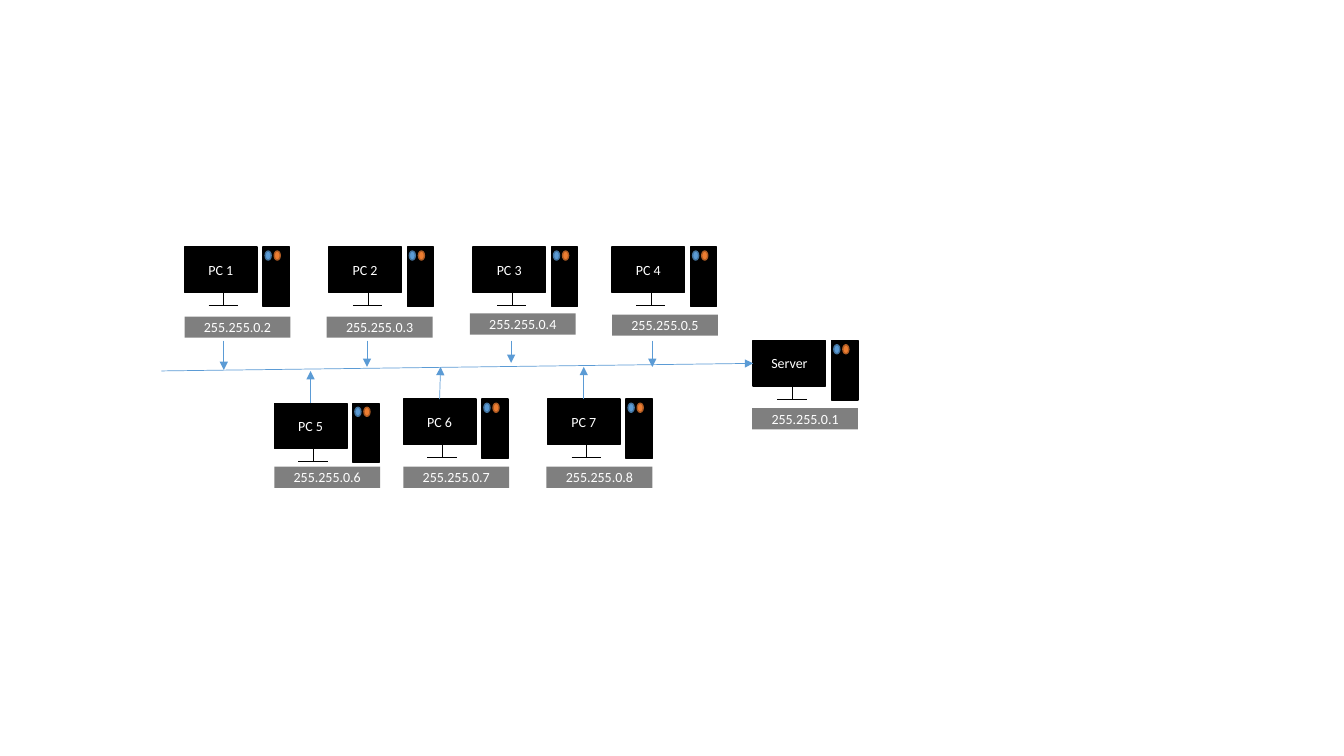
from dataclasses import dataclass
from typing import Optional

from lxml import etree
from pptx import Presentation
from pptx.dml.color import RGBColor
from pptx.enum.shapes import MSO_CONNECTOR, MSO_SHAPE
from pptx.enum.text import MSO_ANCHOR, PP_ALIGN
from pptx.oxml.ns import qn
from pptx.util import Pt

RECTANGLE = MSO_SHAPE.RECTANGLE
LIGHT = MSO_SHAPE.FLOWCHART_CONNECTOR
STRAIGHT = MSO_CONNECTOR.STRAIGHT
MIDDLE = MSO_ANCHOR.MIDDLE
CENTER = PP_ALIGN.CENTER
TOP_SIDE, LEFT_SIDE = 0, 1

EMU_PER_PX = 9144
BLACK, WHITE = "000000", "FFFFFF"
BLUE, DARK_BLUE = "5B9BD5", "43739E"
ORANGE, DARK_ORANGE = "ED7D31", "AF5C24"


@dataclass(frozen=True)
class Computer:
    name: str
    left: int
    top: int
    address: str
    label_left: int
    label_top: int


@dataclass(frozen=True)
class Arrow:
    start: tuple[int, int]
    end: tuple[int, int]
    source: Optional[str] = None
    target: Optional[str] = None


COMPUTERS = [
    Computer("Server", 747, 338, "255.255.0.1", 746, 405),
    Computer("PC 1", 183, 245, "255.255.0.2", 183, 314),
    Computer("PC 2", 326, 245, "255.255.0.3", 324, 314),
    Computer("PC 3", 469, 245, "255.255.0.4", 466, 311),
    Computer("PC 4", 607, 245, "255.255.0.5", 607, 312),
    Computer("PC 5", 272, 400, "255.255.0.6", 272, 463),
    Computer("PC 6", 400, 396, "255.255.0.7", 400, 463),
    Computer("PC 7", 543, 396, "255.255.0.8", 542, 463),
]

ARROWS = [
    Arrow((160, 368), (747, 360), target="Server"),
    Arrow((222, 338), (222, 367)),
    Arrow((364, 338), (364, 364)),
    Arrow((507, 338), (507, 360)),
    Arrow((647, 338), (647, 364)),
    Arrow((579, 396), (579, 364), source="PC 7"),
    Arrow((436, 396), (437, 364), source="PC 6"),
    Arrow((308, 400), (308, 368), source="PC 5"),
]


def px(length: int) -> int:
    return length * EMU_PER_PX


def color(value: str) -> RGBColor:
    return RGBColor.from_string(value)


def set_format(target, values: dict) -> None:
    for name, value in values.items():
        setattr(target, name, value)


def add_box(shapes, kind, frame: tuple[int, int, int, int], fill: str,
            outline: Optional[str] = None, text: str = ""):
    box = shapes.add_shape(kind, *map(px, frame))
    box.shadow.inherit = False
    box.fill.solid()
    box.fill.fore_color.rgb = color(fill)
    if outline:
        box.line.color.rgb = color(outline)
        box.line.width = Pt(1)
    else:
        box.line.fill.background()
    if text:
        set_format(box.text_frame, {
            "word_wrap": True, "vertical_anchor": MIDDLE,
            "margin_left": 0, "margin_right": 0,
            "margin_top": 0, "margin_bottom": 0,
        })
        para = box.text_frame.paragraphs[0]
        para.alignment = CENTER
        span = para.add_run()
        span.text = text
        set_format(span.font, {"name": "Calibri", "size": Pt(10)})
        span.font.color.rgb = color(WHITE)
    return box


def add_line(shapes, start: tuple[int, int], end: tuple[int, int], stroke: str):
    line = shapes.add_connector(STRAIGHT, *map(px, start + end))
    line.line.color.rgb = color(stroke)
    line.line.width = Pt(0.5)
    etree.SubElement(line._element.spPr, qn("a:effectLst"))
    return line


def add_computer(page, computer: Computer):
    shapes = page.shapes.add_group_shape().shapes
    left, top = computer.left, computer.top
    monitor = add_box(shapes, RECTANGLE, (left, top, 72, 45), BLACK, BLACK, computer.name)
    add_line(shapes, (left + 39, top + 45), (left + 39, top + 58), BLACK)
    add_line(shapes, (left + 24, top + 58), (left + 53, top + 58), BLACK)
    add_box(shapes, RECTANGLE, (left + 78, top, 26, 59), BLACK, BLACK)
    for offset, fill, outline in ((80, BLUE, DARK_BLUE), (89, ORANGE, DARK_ORANGE)):
        add_box(shapes, LIGHT, (left + offset, top + 4, 6, 9), fill, outline)
    return monitor


def add_arrow(page, arrow: Arrow, monitors: dict) -> None:
    line = add_line(page.shapes, arrow.start, arrow.end, BLUE)
    if arrow.source:
        line.begin_connect(monitors[arrow.source], TOP_SIDE)
    if arrow.target:
        line.end_connect(monitors[arrow.target], LEFT_SIDE)
    etree.SubElement(line.line._get_or_add_ln(), qn("a:tailEnd"), type="triangle")


def add_address(page, computer: Computer) -> None:
    frame = (computer.label_left, computer.label_top, 105, 21)
    label = add_box(page.shapes, RECTANGLE, frame, BLACK, text=computer.address)
    fill = label._element.spPr.find(qn("a:solidFill"))
    etree.SubElement(fill[0], qn("a:alpha"), val="50000")


def main() -> None:
    deck = Presentation()
    set_format(deck, {"slide_width": px(1333), "slide_height": px(750)})
    page = deck.slides.add_slide(deck.slide_layouts[6])
    monitors = {computer.name: add_computer(page, computer) for computer in COMPUTERS}
    for arrow in ARROWS:
        add_arrow(page, arrow, monitors)
    for computer in COMPUTERS:
        add_address(page, computer)
    deck.save("out.pptx")


if __name__ == "__main__":
    main()
